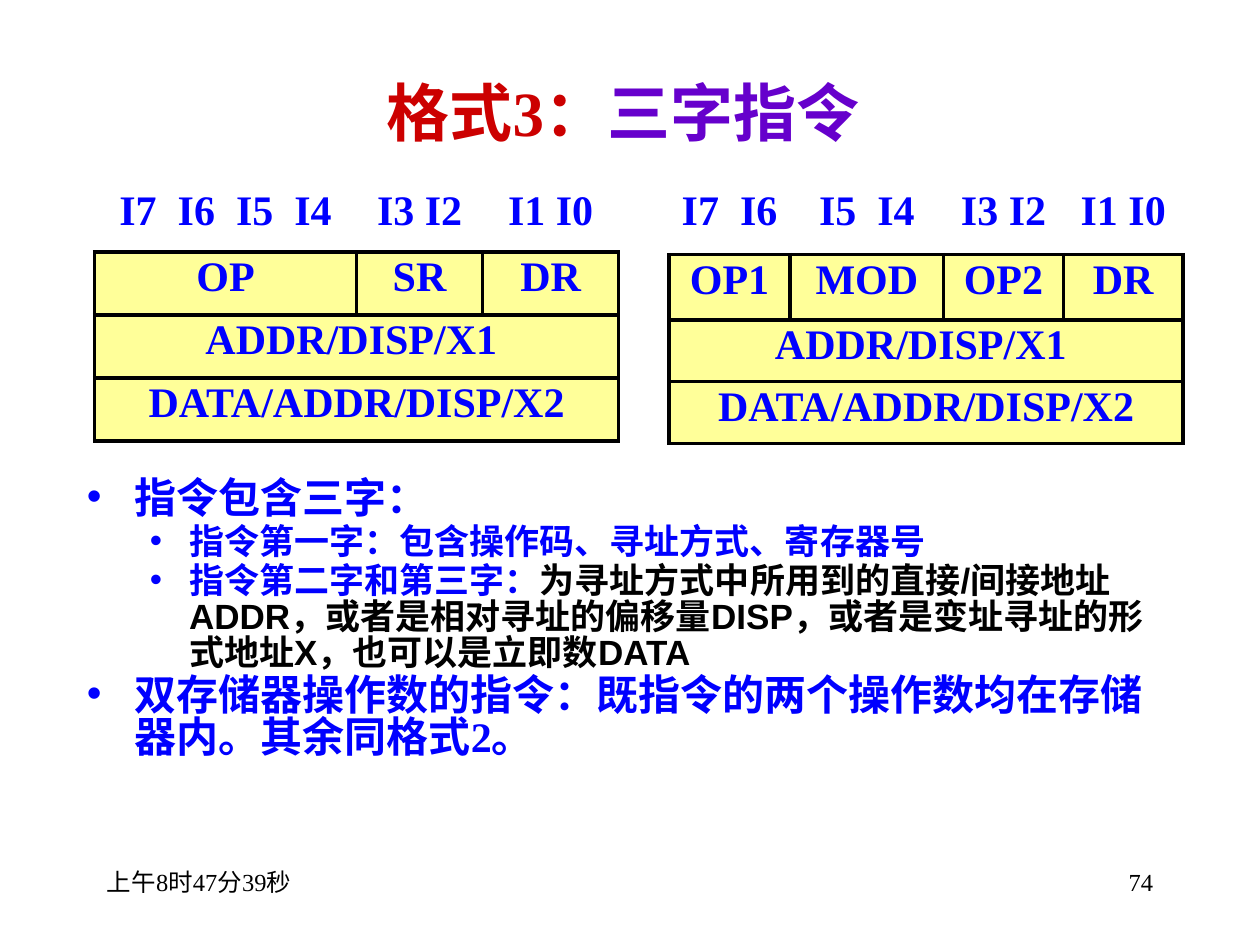
from lxml import etree
from pptx import Presentation, util as u
from pptx.dml.color import RGBColor
from pptx.enum import text
from pptx.oxml import ns

RED = RGBColor(0xCC, 0x00, 0x00)
PURPLE = RGBColor(0x66, 0x00, 0xCC)
BLUE = RGBColor(0x00, 0x00, 0xFF)
BLACK = RGBColor(0x00, 0x00, 0x00)
YELLOW = RGBColor(0xFF, 0xFF, 0x99)
SERIF, SANS = "Times New Roman", "Arial"
WIDTH, HEIGHT = u.Inches(10), u.Inches(7.5)
MARGIN = 0.75
TABLE_TOP = 1.47
FOOTER_WIDTH = 2.08
ADDRESS_ROWS = ["ADDR/DISP/X1 ", "DATA/ADDR/DISP/X2"]


def style(font, size, color, name=SERIF, bold=True):
    """Set the typeface, size, colour and weight of a font."""
    font.name, font.size, font.bold = name, u.Pt(size), bold
    font.color.rgb = color


def place(shape, left, top, width, height):
    """Move and size a shape, in inches."""
    shape.left, shape.top = u.Inches(left), u.Inches(top)
    shape.width, shape.height = u.Inches(width), u.Inches(height)


def add_runs(paragraph, parts, size, name=SERIF):
    """Add one run for each pair of wording and colour."""
    for wording, color in parts:
        run = paragraph.add_run()
        run.text = wording
        style(run.font, size, color, name)


def fill_title(title):
    """Write the two-coloured title."""
    place(title, MARGIN, 0.52, 10 - 2 * MARGIN, 0.72)
    title.text_frame.vertical_anchor = text.MSO_ANCHOR.MIDDLE
    paragraph = title.text_frame.paragraphs[0]
    paragraph.alignment = text.PP_ALIGN.CENTER
    add_runs(paragraph, [("格式3：", RED), ("三字指令 ", PURPLE)], 36)


def set_bullet(paragraph, indent, hanging):
    """Give a paragraph a round bullet with a hanging indent."""
    properties = paragraph._p.get_or_add_pPr()
    properties.set("marL", str(u.Inches(indent)))
    properties.set("indent", str(-u.Inches(hanging)))
    font = etree.SubElement(properties, ns.qn("a:buFont"))
    font.set("typeface", SANS)
    etree.SubElement(properties, ns.qn("a:buChar")).set("char", "•")


def fill_body(body, items):
    """Write the two-level bullet list of (level, parts)."""
    place(body, 0.59, 3.75, 8.74, 2.52)
    frame = body.text_frame
    frame.auto_size = text.MSO_AUTO_SIZE.NONE
    for index, (level, parts) in enumerate(items):
        paragraph = frame.add_paragraph() if index else frame.paragraphs[0]
        size, name, indent, hanging = [(24, SERIF, 0.38, 0.38), (20, SANS, 0.81, 0.31)][level]
        paragraph.level = level
        set_bullet(paragraph, indent, hanging)
        paragraph.line_spacing = 0.85
        paragraph.space_before, paragraph.space_after = u.Pt(0), u.Pt(size / 10)
        add_runs(paragraph, parts, size, name)


def set_borders(cell, visible):
    """Draw the named sides of a cell in black and hide the others."""
    properties = cell._tc.get_or_add_tcPr()
    for index, side in enumerate("LRTB"):
        line = etree.Element(ns.qn(f"a:ln{side}"), w=str(u.Pt(2.25)))
        if side in visible:
            solid = etree.SubElement(line, ns.qn("a:solidFill"))
            etree.SubElement(solid, ns.qn("a:srgbClr")).set("val", str(BLACK))
        else:
            etree.SubElement(line, ns.qn("a:noFill"))
        properties.insert(index, line)


def format_cell(cell, header):
    """Set the margins, fill, borders and text format of a cell."""
    cell.margin_left = cell.margin_right = u.Inches(0.02)
    cell.margin_top = cell.margin_bottom = u.Inches(0.02)
    if header:
        cell.fill.background()
    else:
        cell.fill.solid()
        cell.fill.fore_color.rgb = YELLOW
    set_borders(cell, "B" if header else "LRTB")
    paragraph = cell.text_frame.paragraphs[0]
    paragraph.alignment = text.PP_ALIGN.CENTER
    paragraph.space_after = u.Pt(4.8)
    for run in paragraph.runs:
        style(run.font, 24, BLUE)


def add_format_table(slide, left, widths, heights, bits, fields):
    """Add an instruction format: bit numbers, fields and two address words."""
    rows, columns = len(heights), len(widths)
    table = slide.shapes.add_table(
        rows, columns, u.Inches(left), u.Inches(TABLE_TOP),
        u.Inches(sum(widths)), u.Inches(sum(heights))).table
    table.first_row = table.horz_banding = False
    for column, width in zip(table.columns, widths):
        column.width = u.Inches(width)
    for row, height in zip(table.rows, heights):
        row.height = u.Inches(height)
    words = [bits, fields] + [[wording] for wording in ADDRESS_ROWS]
    for row, wordings in enumerate(words):
        if len(wordings) == 1:
            table.cell(row, 0).merge(table.cell(row, columns - 1))
        for column, wording in enumerate(wordings):
            table.cell(row, column).text_frame.text = wording
        for column in range(columns):
            format_cell(table.cell(row, column), row == 0)


def add_footer(slide, left, wording, alignment):
    """Add a small text at the foot of the slide."""
    box = slide.shapes.add_textbox(0, 0, 0, 0)
    place(box, left, 6.83, FOOTER_WIDTH, 0.5)
    frame = box.text_frame
    frame.word_wrap = True
    frame.text = wording
    frame.paragraphs[0].alignment = alignment
    style(frame.paragraphs[0].runs[0].font, 14, BLACK, bold=False)


def main():
    """Build the slide and save it."""
    presentation = Presentation()
    presentation.slide_width, presentation.slide_height = WIDTH, HEIGHT
    slide = presentation.slides.add_slide(presentation.slide_layouts[1])
    fill_title(slide.shapes.title)
    add_format_table(slide, 5.31, [0.96, 1.22, 0.95, 0.95], [0.55, 0.52, 0.49, 0.49],
                     ["I7  I6", "I5  I4", "I3 I2", "I1 I0"], ["OP1", "MOD", "OP2", "DR"])
    fill_body(slide.placeholders[1], [
        (0, [("指令包含三字：", BLUE)]),
        (1, [("指令第一字：包含操作码、寻址方式、寄存器号", BLUE)]),
        (1, [("指令第二字和第三字：", BLUE),
             ("为寻址方式中所用到的直接/间接地址ADDR，或者是相对寻址的偏移量DISP，"
              "或者是变址寻址的形式地址X，也可以是立即数DATA", BLACK)]),
        (0, [("双存储器操作数的指令：既指令的两个操作数均在存储器内。其余同格式2。", BLUE)]),
    ])
    add_format_table(slide, MARGIN, [2.08, 1, 1.08], [0.53, 0.5, 0.5, 0.5],
                     ["I7  I6  I5  I4", "I3 I2", "I1 I0"], ["OP", "SR", "DR"])
    add_footer(slide, MARGIN, "上午8时47分39秒", text.PP_ALIGN.LEFT)
    add_footer(slide, 10 - MARGIN - FOOTER_WIDTH, "74", text.PP_ALIGN.RIGHT)
    presentation.save("out.pptx")


if __name__ == "__main__":
    main()
